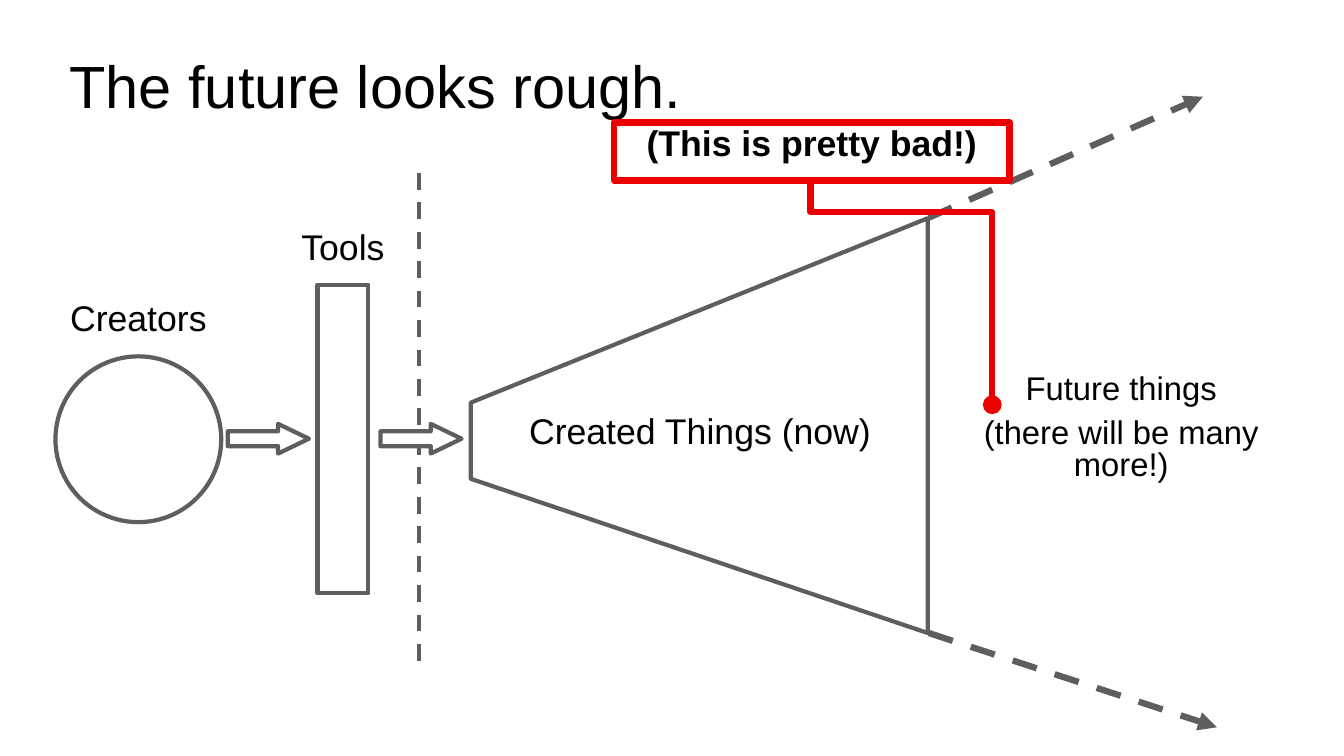
from dataclasses import dataclass

from lxml import etree
from pptx import Presentation
from pptx import util as u
from pptx.dml.color import RGBColor
from pptx.enum import dml, shapes, text
from pptx.oxml.ns import qn

PX = 9144


@dataclass(frozen=True)
class Theme:
    font: str = "Arial"
    ink: str = "000000"
    paper: str = "FFFFFF"
    outline: str = "5E5E5E"
    alert: str = "EB0000"
    title: float = 85
    label: float = 50.9
    note: float = 46.8
    thin: float = 6
    thick: float = 9


T = Theme()
SIZE = (2667, 1500)
TITLE = ("The future looks rough.", (132, 118, 2403, 157))
LABELS = [
    ("Creators", (24, 591, 501, 115)),
    ("Tools", (430, 450, 501, 115)),
    ("Created Things (now)", (951, 815, 876, 115)),
]
FUTURE = (["Future things", "(there will be many more!)"], (1875, 739, 700, 265))
CALLOUT = ("(This is pretty bad!)", (1219, 243, 784, 115))
TOOLS_BOX = (630, 565, 101, 612)
CREATORS_CIRCLE = (110, 707, 329, 329)
FUNNEL = [(934, 799), (934, 950), (1841, 1256), (1841, 433)]
FLOW_ARROWS = [(left, 841, 161, 59) for left in (452, 755)]
DIVIDER = (832, 343, 832, 1315)
GROWTH = [(1843, 432, 2387, 192), (1843, 1256, 2415, 1443)]
CALLOUT_LINK = (2013, 398, 1564, 759)
CALLOUT_BEND = 14900


def px(values):
    return [u.Emu(v * PX) for v in values]


def rgb(value):
    return RGBColor.from_string(value)


def set_line(sp, color, width):
    sp.line.color.rgb = rgb(color)
    sp.line.width = u.Pt(width)


def style_shape(sp):
    sp.shadow.inherit = False
    sp.fill.solid()
    sp.fill.fore_color.rgb = rgb(T.paper)
    set_line(sp, T.outline, T.thin)


def add_shape(s, kind, box):
    sp = s.shapes.add_shape(kind, *px(box))
    style_shape(sp)
    return sp


def add_text(s, lines, box, size, spacing=0.9, before=18, centered=True, bold=False):
    sp = s.shapes.add_textbox(*px(box))
    tf = sp.text_frame
    tf.word_wrap = True
    tf.vertical_anchor = text.MSO_ANCHOR.TOP
    tf.margin_left = tf.margin_right = tf.margin_top = tf.margin_bottom = u.Emu(6 * PX)
    tf.text = "\n".join(lines)
    for p in tf.paragraphs:
        p.alignment = text.PP_ALIGN.CENTER if centered else text.PP_ALIGN.LEFT
        p.line_spacing = spacing
        p.space_before = u.Pt(before)
        p.font.name, p.font.size, p.font.bold = T.font, u.Pt(size), bold
        p.font.color.rgb = rgb(T.ink)
    return sp


def add_line(s, ends, color, width, dashed=True, tip=None, kind=shapes.MSO_CONNECTOR.STRAIGHT):
    c = s.shapes.add_connector(kind, *px(ends))
    set_line(c, color, width)
    if dashed:
        c.line.dash_style = dml.MSO_LINE.DASH
    spPr = c._element.spPr
    if tip:
        etree.SubElement(spPr.find(qn("a:ln")), qn("a:tailEnd"), type=tip)
    etree.SubElement(spPr, qn("a:effectLst"))
    return c


def main():
    prs = Presentation()
    prs.slide_width, prs.slide_height = px(SIZE)
    s = prs.slides.add_slide(prs.slide_layouts[6])

    title, box = TITLE
    add_text(s, [title], box, T.title, spacing=0.8, before=0, centered=False)
    add_shape(s, shapes.MSO_SHAPE.RECTANGLE, TOOLS_BOX)
    add_shape(s, shapes.MSO_SHAPE.OVAL, CREATORS_CIRCLE)

    builder = s.shapes.build_freeform(*FUNNEL[0], scale=PX)
    builder.add_line_segments(FUNNEL[1:], close=True)
    style_shape(builder.convert_to_shape())

    for label, box in LABELS:
        add_text(s, [label], box, T.label)

    add_line(s, DIVIDER, T.outline, T.thin)
    for box in FLOW_ARROWS:
        arrow = add_shape(s, shapes.MSO_SHAPE.RIGHT_ARROW, box)
        arrow.adjustments[1] = 1.038
    for ends in GROWTH:
        add_line(s, ends, T.outline, T.thick, tip="triangle")

    lines, box = FUTURE
    add_text(s, lines, box, T.note, spacing=0.8)

    link = add_line(s, CALLOUT_LINK, T.alert, T.thick, dashed=False, tip="oval",
                    kind=shapes.MSO_CONNECTOR.ELBOW)
    spPr = link._element.spPr
    spPr.find(qn("a:xfrm")).set("rot", str(270 * 60000))
    guides = spPr.find(qn("a:prstGeom")).find(qn("a:avLst"))
    etree.SubElement(guides, qn("a:gd"), name="adj1", fmla=f"val {CALLOUT_BEND}")

    callout, box = CALLOUT
    set_line(add_text(s, [callout], box, T.label, bold=True), T.alert, T.thick)

    prs.save("out.pptx")


if __name__ == "__main__":
    main()
